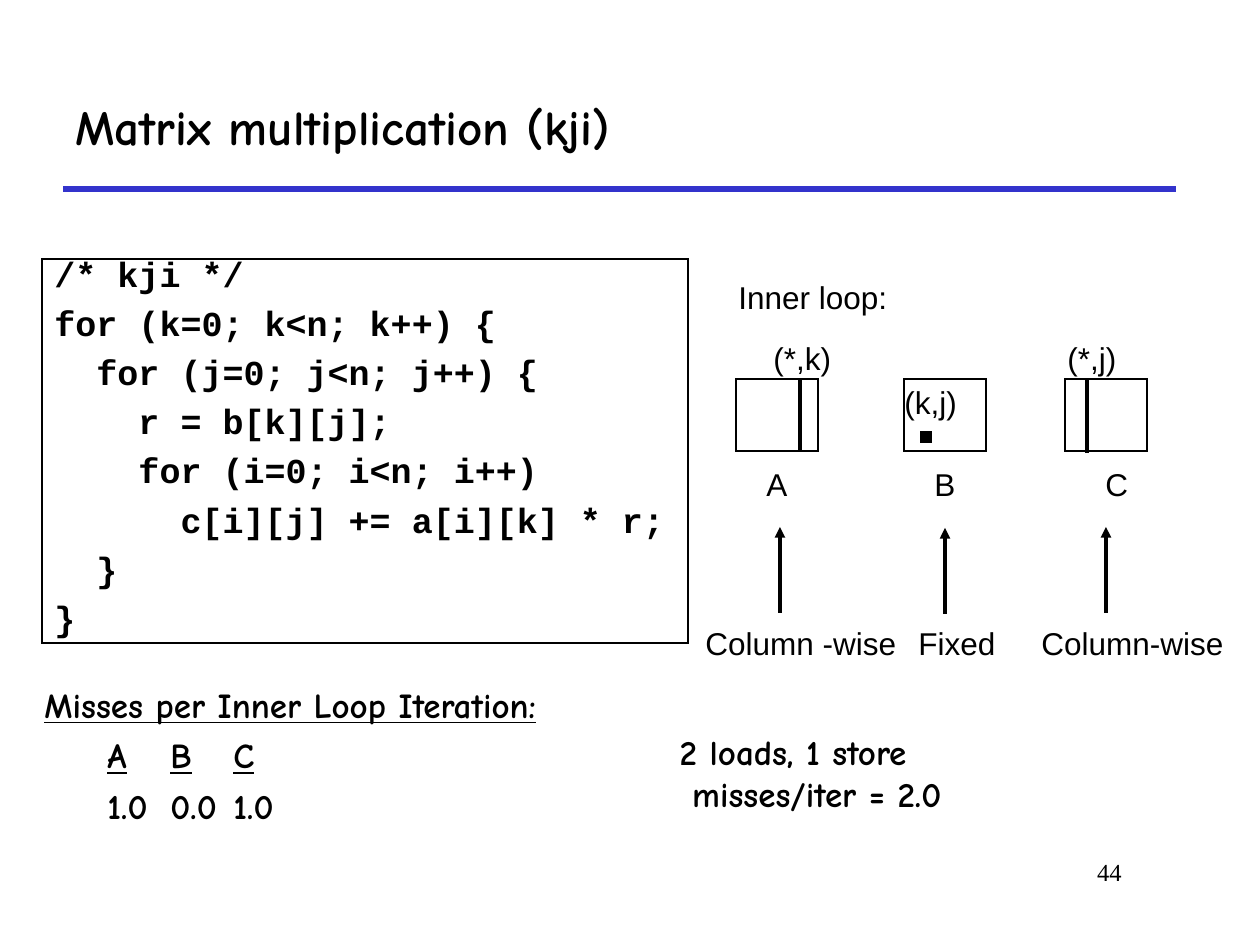
from dataclasses import dataclass

import pptx
import pptx.dml.color
import pptx.enum.shapes
import pptx.enum.text
import pptx.oxml
import pptx.oxml.ns
import pptx.util
from lxml import etree

PIXEL = 914400 / 126
BLACK = "000000"
WHITE = "FFFFFF"
RULE_BLUE = "3333CC"
COMIC = "Comic Neue"
TOP = pptx.enum.text.MSO_ANCHOR.TOP
MIDDLE = pptx.enum.text.MSO_ANCHOR.MIDDLE


@dataclass
class Label:
    text: str
    left: int
    top: int
    width: int
    height: int = 50
    font: str = "Arial"
    size: int = 18
    bold: bool = False
    wrap: bool = False


@dataclass
class Line:
    x1: int
    y1: int
    x2: int
    y2: int
    color: str = BLACK
    width: float = 2
    arrow: bool = False


@dataclass
class Matrix:
    left: int
    name: str
    name_left: int
    index: str
    index_left: int
    index_top: int
    arrow_x: int
    arrow_top: int
    access: str
    access_left: int
    access_width: int


def px(pixels: int) -> int:
    return round(pixels * PIXEL)


def rgb(color: str) -> pptx.dml.color.RGBColor:
    return pptx.dml.color.RGBColor.from_string(color)


def style_text(frame, font: str, size: int, bold: bool) -> None:
    for para in frame.paragraphs:
        for span in para.runs:
            span.font.name = font
            span.font.size = pptx.util.Pt(size)
            span.font.bold = bold
            span.font.color.rgb = rgb(BLACK)


def add_label(page, label: Label):
    box = page.shapes.add_textbox(
        px(label.left), px(label.top), px(label.width), px(label.height))
    frame = box.text_frame
    frame.text = label.text
    frame.word_wrap = label.wrap
    style_text(frame, label.font, label.size, label.bold)
    return frame


def add_box(page, left: int, top: int, width: int, height: int,
            fill: str, border: float):
    box = page.shapes.add_shape(
        pptx.enum.shapes.MSO_SHAPE.RECTANGLE,
        px(left), px(top), px(width), px(height))
    box.shadow.inherit = False
    box.line.color.rgb = rgb(BLACK)
    box.line.width = pptx.util.Pt(border)
    etree.SubElement(box.line._get_or_add_ln(), pptx.oxml.ns.qn("a:miter"))
    if fill:
        box.fill.solid()
        box.fill.fore_color.rgb = rgb(fill)
    else:
        box.fill.background()
    return box


def add_line(page, line: Line) -> None:
    connector = page.shapes.add_connector(
        pptx.enum.shapes.MSO_CONNECTOR.STRAIGHT,
        px(line.x1), px(line.y1), px(line.x2), px(line.y2))
    connector.line.color.rgb = rgb(line.color)
    connector.line.width = pptx.util.Pt(line.width)
    if line.arrow:
        tail = etree.SubElement(
            connector.line._get_or_add_ln(), pptx.oxml.ns.qn("a:tailEnd"))
        tail.set("type", "triangle")
    etree.SubElement(connector._element.spPr, pptx.oxml.ns.qn("a:effectLst"))


def indent(para, margin: float, first: float) -> None:
    properties = para._p.get_or_add_pPr()
    properties.set("marL", str(pptx.util.Inches(margin)))
    properties.set("indent", str(pptx.util.Inches(first)))


def set_tabs(para, positions: tuple[int, ...]) -> None:
    properties = para._p.get_or_add_pPr()
    tabs = etree.SubElement(properties, pptx.oxml.ns.qn("a:tabLst"))
    for position in positions:
        tab = etree.SubElement(tabs, pptx.oxml.ns.qn("a:tab"))
        tab.set("pos", str(px(position)))
        tab.set("algn", "l")


def add_code(page) -> None:
    frame = add_box(page, 42, 259, 646, 384, "", 1).text_frame
    frame.text = "\n".join([
        "/* kji */",
        "for (k=0; k<n; k++) {",
        "  for (j=0; j<n; j++) {",
        "    r = b[k][j];",
        "    for (i=0; i<n; i++)",
        "      c[i][j] += a[i][k] * r;",
        "  }",
        "}",
    ])
    frame.word_wrap = True
    frame.vertical_anchor = TOP
    style_text(frame, "Courier New", 20, True)
    for para in frame.paragraphs:
        para.alignment = pptx.enum.text.PP_ALIGN.LEFT
        para.line_spacing = 0.65
        para.space_before = pptx.util.Pt(12.5)


def add_matrix(page, matrix: Matrix) -> None:
    add_box(page, matrix.left, 379, 82, 72, WHITE, 1)
    add_label(page, Label(matrix.name, matrix.name_left, 459, 47))
    add_label(page, Label(matrix.index, matrix.index_left, matrix.index_top, 88))
    add_label(page, Label(matrix.access, matrix.access_left, 618,
                          matrix.access_width, wrap=True))
    add_line(page, Line(matrix.arrow_x, matrix.arrow_top + 86,
                        matrix.arrow_x, matrix.arrow_top, arrow=True))


def add_misses(page) -> None:
    frame = add_label(page, Label("Misses per Inner Loop Iteration:",
                                  32, 677, 663, 169, wrap=True))
    heading = frame.paragraphs[0]
    heading.runs[0].font.underline = True
    indent(heading, 0.24, -0.24)
    names = frame.add_paragraph()
    for name in "ABC":
        names.add_run().text = "\t"
        span = names.add_run()
        span.text = name
        span.font.underline = True
    values = frame.add_paragraph()
    values.text = "\t1.0\t0.0\t1.0"
    for para in frame.paragraphs:
        para.space_before = pptx.util.Pt(5)
    for para in (names, values):
        para.level = 1
        indent(para, 0, 0)
        set_tabs(para, tuple(203 + 126 * column for column in range(3)))
    style_text(frame, COMIC, 20, True)


deck = pptx.Presentation()
deck.slide_width = pptx.util.Inches(10)
deck.slide_height = pptx.util.Inches(7.5)
page = deck.slides.add_slide(deck.slide_layouts[6])

add_line(page, Line(63, 189, 1176, 189, RULE_BLUE, 3))
title = add_label(page, Label("Matrix multiplication (kji)", 63, 63, 1113, 126,
                              COMIC, 28, True, True))
title.vertical_anchor = MIDDLE
number = add_label(page, Label("44", 955, 851, 179, 63,
                               "Times New Roman", 14, wrap=True))
number.paragraphs[0].alignment = pptx.enum.text.PP_ALIGN.RIGHT

add_code(page)
add_label(page, Label("Inner loop:", 726, 272, 174))
for matrix in (
    Matrix(736, "A", 754, "(*,k)", 761, 333, 780, 527, "Column -wise", 693, 242),
    Matrix(904, "B", 922, "(k,j)", 892, 377, 945, 528, "Fixed", 906, 102),
    Matrix(1065, "C", 1093, "(*,j)", 1055, 333, 1106, 527, "Column-wise", 1029, 211),
):
    add_matrix(page, matrix)
add_box(page, 922, 433, 8, 8, BLACK, 2)
add_line(page, Line(800, 451, 800, 378))
add_line(page, Line(1087, 453, 1087, 379))

add_misses(page)
summary = add_label(page, Label("2 loads, 1 store\n misses/iter = 2.0",
                                651, 724, 378, 97, COMIC, 20, True, True))
for para in summary.paragraphs:
    para.level = 1
    indent(para, 0.13, 0)

deck.save("out.pptx")
